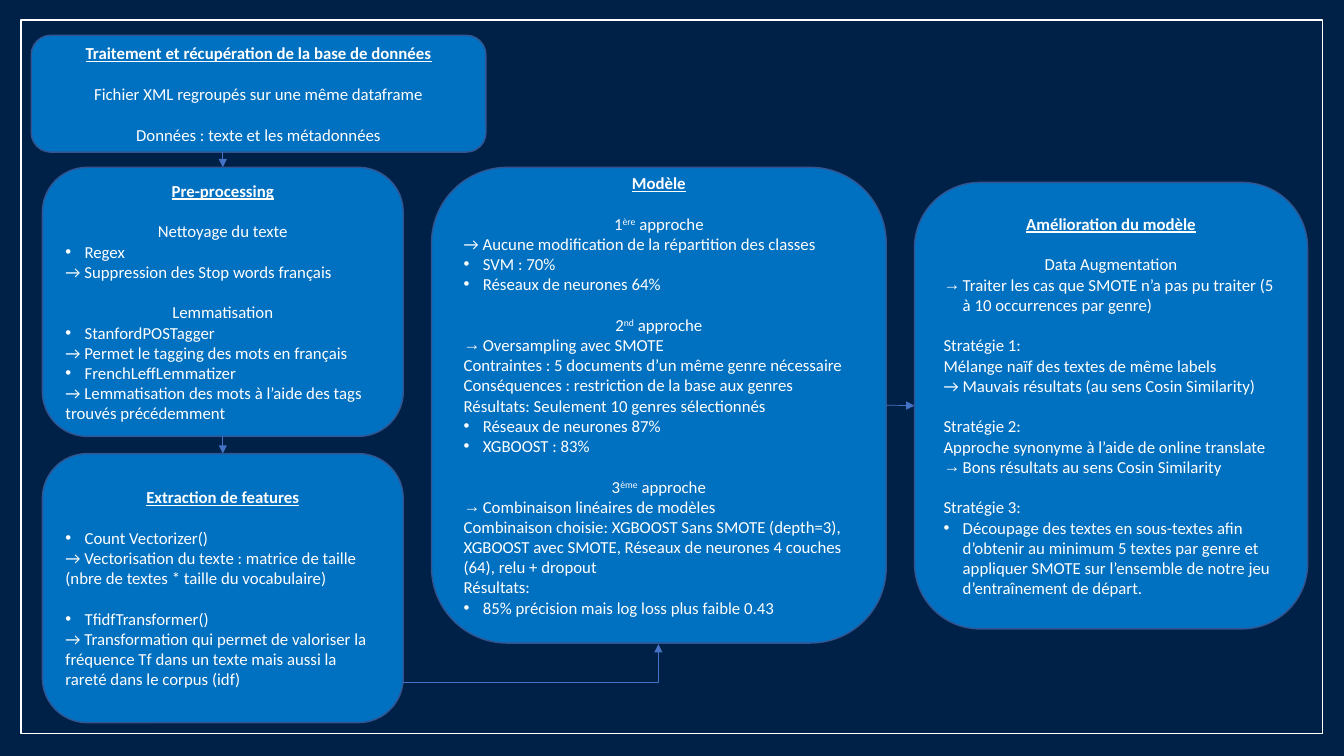
from lxml.etree import SubElement
from pptx import Presentation
from pptx.dml.color import RGBColor
from pptx.enum.shapes import MSO_CONNECTOR, MSO_SHAPE
from pptx.enum.text import MSO_ANCHOR, PP_ALIGN
from pptx.oxml.ns import qn
from pptx.util import Inches, Pt

HUES = {"back": "002147", "box": "0070C0", "edge": "325491", "link": "4472C4", "white": "FFFFFF"}
TOP, LEFT, BOTTOM, RIGHT = range(4)
MID, FLUSH, DOT, ARROW = "mid", "flush", "•", "→"
GAP = True


class Board:
    font = "Calibri"
    size = Pt(12)
    line = Pt(14.65)
    dent = Inches(0.19)

    def __init__(self, slide):
        self.slide = slide
        fill = slide.background.fill
        fill.solid()
        fill.fore_color.rgb = self.hue("back")

    def hue(self, name):
        return RGBColor.from_string(HUES[name])

    def shape(self, kind, place, edge):
        item = self.slide.shapes.add_shape(kind, *map(Inches, place))
        item.shadow.inherit = False
        item.line.color.rgb = self.hue(edge)
        item.line.width = Pt(1)
        return item

    def frame(self, place):
        self.shape(MSO_SHAPE.RECTANGLE, place, "white").fill.background()

    def run(self, para, text, head=False, high=False):
        run = para.add_run()
        run.text = text
        font = run.font
        font.name, font.size = self.font, self.size
        font.color.rgb = self.hue("white")
        font.bold = font.underline = head
        if high:
            run._r.get_or_add_rPr().set("baseline", "30000")

    def para(self, para, kind, text, gap=False, head=False):
        para.alignment = PP_ALIGN.CENTER if kind == MID else PP_ALIGN.LEFT
        if gap:
            para.space_before = self.line
        if kind in (DOT, ARROW):
            props = para._p.get_or_add_pPr()
            props.set("marL", str(self.dent))
            props.set("indent", str(-self.dent))
            SubElement(props, qn("a:buFont")).set("typeface", "Arial")
            SubElement(props, qn("a:buChar")).set("char", kind)
        for spot, part in enumerate(text.split("|")):
            self.run(para, part, head, spot % 2 == 1)

    def box(self, place, title, rows, foot=0.05):
        item = self.shape(MSO_SHAPE.ROUNDED_RECTANGLE, place, "edge")
        item.fill.solid()
        item.fill.fore_color.rgb = self.hue("box")
        frame = item.text_frame
        frame.word_wrap = True
        frame.vertical_anchor = MSO_ANCHOR.MIDDLE
        frame.margin_bottom = Inches(foot)
        self.para(frame.paragraphs[0], MID, title, head=True)
        for row in rows:
            self.para(frame.add_paragraph(), *row)
        return item

    def link(self, start, end, first=None, last=None, bent=False):
        kind = MSO_CONNECTOR.ELBOW if bent else MSO_CONNECTOR.STRAIGHT
        item = self.slide.shapes.add_connector(kind, *map(Inches, start + end))
        if first:
            item.begin_connect(*first)
        if last:
            item.end_connect(*last)
        item.line.color.rgb = self.hue("link")
        item.line.width = Pt(0.5)
        props = item._element.spPr
        if bent:
            props.find(qn("a:prstGeom")).set("prst", "bentConnector2")
        SubElement(props.find(qn("a:ln")), qn("a:tailEnd")).set("type", "triangle")
        SubElement(props, qn("a:effectLst"))


def main():
    deck = Presentation()
    deck.slide_width, deck.slide_height = Inches(13.33), Inches(7.5)
    board = Board(deck.slides.add_slide(deck.slide_layouts[6]))
    board.frame((0.21, 0.2, 12.91, 7.08))

    board.box((0.31, 0.35, 4.51, 1.16), "Traitement et récupération de la base de données", [
        (MID, "Fichier XML regroupés sur une même dataframe", GAP),
        (MID, "Données : texte et les métadonnées", GAP),
    ])
    clean = board.box((0.42, 1.66, 3.58, 2.67), "Pre-processing", [
        (MID, "Nettoyage du texte", GAP),
        (DOT, "Regex"),
        (FLUSH, "→ Suppression des Stop words français"),
        (MID, "Lemmatisation", GAP),
        (DOT, "StanfordPOSTagger"),
        (FLUSH, "→ Permet le tagging des mots en français"),
        (DOT, "FrenchLeffLemmatizer"),
        (FLUSH, "→ Lemmatisation des mots à l’aide des tags trouvés précédemment"),
    ])
    traits = board.box((0.42, 4.5, 3.58, 2.67), "Extraction de features", [
        (DOT, "Count Vectorizer()", GAP),
        (FLUSH, "→ Vectorisation du texte : matrice de taille (nbre de textes * taille du vocabulaire)"),
        (DOT, "TfidfTransformer()", GAP),
        (FLUSH, "→ Transformation qui permet de valoriser la fréquence Tf dans un texte "
                "mais aussi la rareté dans le corpus (idf)"),
    ])
    model = board.box((4.28, 1.66, 4.51, 4.72), "Modèle", [
        (MID, "1|ère| approche", GAP),
        (FLUSH, "→ Aucune modification de la répartition des classes"),
        (DOT, "SVM : 70%"),
        (DOT, "Réseaux de neurones 64%"),
        (MID, "2|nd| approche", GAP),
        (ARROW, "Oversampling avec SMOTE"),
        (FLUSH, "Contraintes : 5 documents d’un même genre nécessaire"),
        (FLUSH, "Conséquences : restriction de la base aux genres"),
        (FLUSH, "Résultats: Seulement 10 genres sélectionnés"),
        (DOT, "Réseaux de neurones 87%"),
        (DOT, "XGBOOST : 83%"),
        (MID, "3|ème| approche", GAP),
        (ARROW, "Combinaison linéaires de modèles"),
        (FLUSH, "Combinaison choisie: XGBOOST Sans SMOTE (depth=3), XGBOOST avec SMOTE, "
                "Réseaux de neurones 4 couches (64), relu + dropout"),
        (FLUSH, "Résultats:"),
        (DOT, "85% précision mais log loss plus faible 0.43"),
    ], foot=0.25)
    boost = board.box((9.07, 1.81, 3.9, 4.43), "Amélioration du modèle", [
        (MID, "Data Augmentation", GAP),
        (ARROW, "Traiter les cas que SMOTE n’a pas pu traiter (5 à 10 occurrences par genre)"),
        (FLUSH, "Stratégie 1:", GAP),
        (FLUSH, "Mélange naïf des textes de même labels"),
        (FLUSH, "→ Mauvais résultats (au sens Cosin Similarity)"),
        (FLUSH, "Stratégie 2:", GAP),
        (FLUSH, "Approche synonyme à l’aide de online translate"),
        (ARROW, "Bons résultats au sens Cosin Similarity"),
        (FLUSH, "Stratégie 3:", GAP),
        (DOT, "Découpage des textes en sous-textes afin d’obtenir au minimum 5 textes par genre "
              "et appliquer SMOTE sur l’ensemble de notre jeu d’entraînement de départ."),
    ])

    board.link((2.21, 1.51), (2.21, 1.66), last=(clean, TOP))
    board.link((2.21, 4.33), (2.21, 4.5), (clean, BOTTOM), (traits, TOP))
    board.link((4, 6.77), (6.53, 6.39), bent=True)
    board.link((8.79, 4.02), (9.07, 4.02), (model, RIGHT), (boost, LEFT))
    deck.save("out.pptx")


if __name__ == "__main__":
    main()
